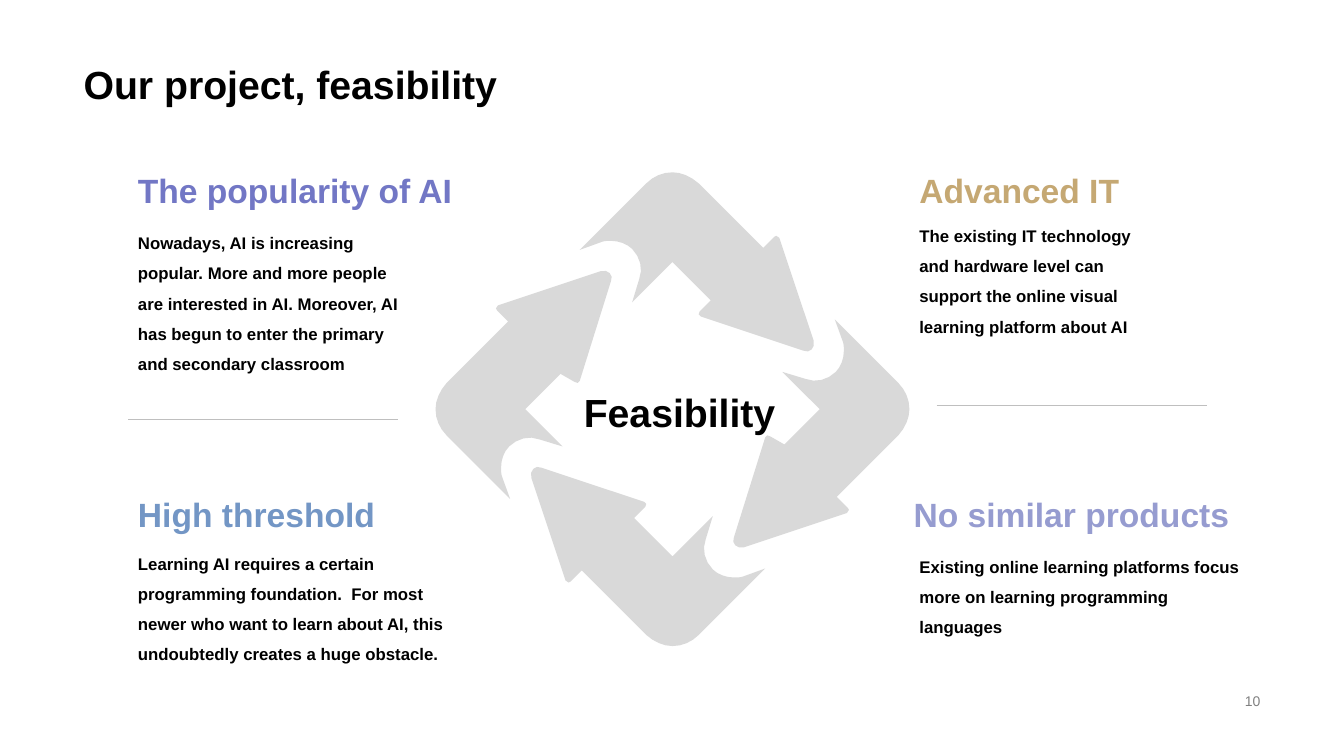
from dataclasses import dataclass, field
from math import copysign, dist

from lxml.etree import SubElement
from pptx import Presentation
from pptx.dml.color import RGBColor
from pptx.enum.text import MSO_ANCHOR, MSO_AUTO_SIZE, PP_ALIGN
from pptx.oxml.ns import qn
from pptx.util import Inches, Pt

FONT = "Arial"
BLACK = "000000"
ARROW_GREY = "D9D9D9"
RULE_GREY = "BFBFBF"
NUMBER_GREY = "808080"
CENTRE_X, CENTRE_Y = 6.67, 4.06
CURVE_STEPS = 4
SIDE_SHIFT = 0.03
HEADING_WIDTH = 3.4

# Top arrow of the cycle: two numbers end a line, six describe a Bézier curve.
ARROW_START = (6.67, 1.71)
ARROW_SEGMENTS = [
    (6.76, 1.71, 6.85, 1.75, 6.93, 1.82),
    (7.57, 2.46),
    (7.68, 2.35),
    (7.68, 2.34, 7.69, 2.34, 7.7, 2.34),
    (7.72, 2.34, 7.72, 2.35, 7.73, 2.36),
    (7.76, 2.45, 7.96, 3.06, 8.07, 3.38),
    (8.09, 3.45, 8.03, 3.51, 7.97, 3.48),
    (7.54, 3.34, 7.05, 3.17, 6.95, 3.14),
    (6.94, 3.14, 6.93, 3.13, 6.93, 3.12),
    (6.92, 3.11, 6.93, 3.1, 6.94, 3.09),
    (7.05, 2.98),
    (6.67, 2.6),
    (6.27, 3),
    (6.34, 2.77),
    (6.38, 2.67, 6.35, 2.55, 6.27, 2.47),
    (6.22, 2.42, 6.14, 2.39, 6.06, 2.39),
    (6.03, 2.39, 6, 2.39, 5.97, 2.4),
    (5.75, 2.48),
    (6.41, 1.82),
    (6.48, 1.75, 6.57, 1.71, 6.67, 1.71),
]


@dataclass
class Label:
    text: str
    box: tuple[float, float, float, float]
    size: float
    color: str = BLACK
    bold: bool = True
    frame_format: dict = field(default_factory=dict)
    paragraph_format: dict = field(default_factory=dict)


@dataclass
class Reason:
    heading: str
    color: str
    heading_left: float
    heading_top: float
    body: str
    body_box: tuple[float, float, float, float]
    align: PP_ALIGN = PP_ALIGN.LEFT


REASONS = [
    Reason("The popularity of AI", "7277C5", 1.27, 1.64,
           "Nowadays, AI is increasing popular. More and more people are interested in AI. "
           "Moreover, AI has begun to enter the primary and secondary classroom",
           (1.27, 2.16, 2.83, 1.25)),
    Reason("High threshold", "7396C5", 1.27, 4.85,
           "Learning AI requires a certain programming foundation.  For most newer who want "
           "to learn about AI, this undoubtedly creates a huge obstacle.",
           (1.27, 5.34, 3.28, 1.67)),
    Reason("Advanced IT", "C5A873", 9.02, 1.64,
           "The existing IT technology and hardware level can support the online visual "
           "learning platform about AI",
           (9.02, 2.09, 2.4, 1.4)),
    Reason("No similar products", "969CD0", 8.89, 4.85,
           "Existing online learning platforms focus more on learning programming languages",
           (9.02, 5.37, 3.42, 0.98), PP_ALIGN.RIGHT),
]


def rgb(color: str) -> RGBColor:
    return RGBColor.from_string(color)


def apply_format(target, values: dict) -> None:
    for name, value in values.items():
        setattr(target, name, value)


def write_label(shape, label: Label) -> None:
    left, top, width, height = map(Inches, label.box)
    apply_format(shape, {"left": left, "top": top, "width": width, "height": height})
    frame = shape.text_frame
    apply_format(frame, {"word_wrap": True, "auto_size": MSO_AUTO_SIZE.NONE}
                 | label.frame_format)
    paragraph = frame.paragraphs[0]
    apply_format(paragraph, {"alignment": PP_ALIGN.LEFT} | label.paragraph_format)
    run = paragraph.add_run()
    run.text = label.text
    apply_format(run.font, {"name": FONT, "size": Pt(label.size), "bold": label.bold})
    run.font.color.rgb = rgb(label.color)


def add_label(slide, label: Label) -> None:
    write_label(slide.shapes.add_textbox(*map(Inches, label.box)), label)


def add_rule(slide, left: float, top: float, width: float = 2.68) -> None:
    rule = slide.shapes.add_connector(1, *map(Inches, (left, top, left + width, top)))
    rule.line.color.rgb = rgb(RULE_GREY)
    rule.line.width = Pt(0.5)
    SubElement(rule._element.spPr, qn("a:effectLst"))


def curve_points(start: tuple, curve: tuple) -> list[tuple]:
    """Points along a cubic Bézier curve, without its start; few where it is short or flat."""
    corners = [start, curve[:2], curve[2:4], curve[4:]]
    chord = dist(start, corners[-1])
    bend = sum(map(dist, corners, corners[1:])) / chord
    steps = CURVE_STEPS if chord > 0.05 and bend > 1.01 else 1
    points = []
    for step in range(1, steps + 1):
        t = step / steps
        weights = ((1 - t) ** 3, 3 * t * (1 - t) ** 2, 3 * t * t * (1 - t), t ** 3)
        points.append(tuple(sum(w * v for w, v in zip(weights, values))
                            for values in zip(*corners)))
    return points


def arrow_outline() -> list[tuple]:
    outline = [ARROW_START]
    for segment in ARROW_SEGMENTS:
        outline += [segment] if len(segment) == 2 else curve_points(outline[-1], segment)
    return outline


def quarter_turn(outline: list[tuple]) -> list[tuple]:
    """The outline turned 90° clockwise about the centre of the cycle."""
    return [(CENTRE_X - (y - CENTRE_Y), CENTRE_Y + (x - CENTRE_X)) for x, y in outline]


def side_arrow(outline: list[tuple]) -> list[tuple]:
    """The outline with head and tail drawn outwards and closer to the middle line."""
    return [(x + copysign(SIDE_SHIFT, x - CENTRE_X), y - copysign(SIDE_SHIFT, y - CENTRE_Y))
            if abs(y - CENTRE_Y) > 0.3 else (x, y) for x, y in outline]


def add_arrow_cycle(slide) -> None:
    top = arrow_outline()
    right = quarter_turn(top)
    bottom = quarter_turn(right)
    left = quarter_turn(bottom)
    builder = None
    for outline in (bottom, side_arrow(right), side_arrow(left), top):
        start, *others = [(Inches(x), Inches(y)) for x, y in outline]
        if builder is None:
            builder = slide.shapes.build_freeform(*start)
        else:
            builder.move_to(*start)
        builder.add_line_segments(others[:-1], close=True)
    cycle = builder.convert_to_shape()
    cycle.shadow.inherit = False
    cycle.fill.solid()
    cycle.fill.fore_color.rgb = rgb(ARROW_GREY)
    cycle.line.fill.background()


def add_reason(slide, reason: Reason) -> None:
    add_label(slide, Label(reason.body, reason.body_box, 12,
                           paragraph_format={"line_spacing": 1.5}))
    heading_box = (reason.heading_left, reason.heading_top, HEADING_WIDTH, 0.38)
    add_label(slide, Label(reason.heading, heading_box, 24, reason.color,
                           paragraph_format={"alignment": reason.align}))


def main() -> None:
    presentation = Presentation()
    apply_format(presentation, {"slide_width": Inches(13.33), "slide_height": Inches(7.5)})
    slide = presentation.slides.add_slide(presentation.slide_layouts[5])

    write_label(slide.shapes.title,
                Label("Our project, feasibility", (0.73, 0, 11.87, 1.12), 28,
                      frame_format={"vertical_anchor": MSO_ANCHOR.BOTTOM},
                      paragraph_format={"line_spacing": 0.9}))
    middle = {"vertical_anchor": MSO_ANCHOR.MIDDLE}
    add_label(slide, Label("10", (9.42, 6.84, 3.18, 0.23), 10, NUMBER_GREY, bold=False,
                           frame_format=middle,
                           paragraph_format={"alignment": PP_ALIGN.RIGHT}))
    add_rule(slide, 9.29, 4.02)
    add_rule(slide, 1.27, 4.16)
    add_arrow_cycle(slide)
    add_label(slide, Label("Feasibility", (5.64, 3.8, 2.2, 0.57), 28,
                           frame_format=middle,
                           paragraph_format={"alignment": PP_ALIGN.CENTER}))
    for reason in REASONS:
        add_reason(slide, reason)
    presentation.save("out.pptx")


if __name__ == "__main__":
    main()
